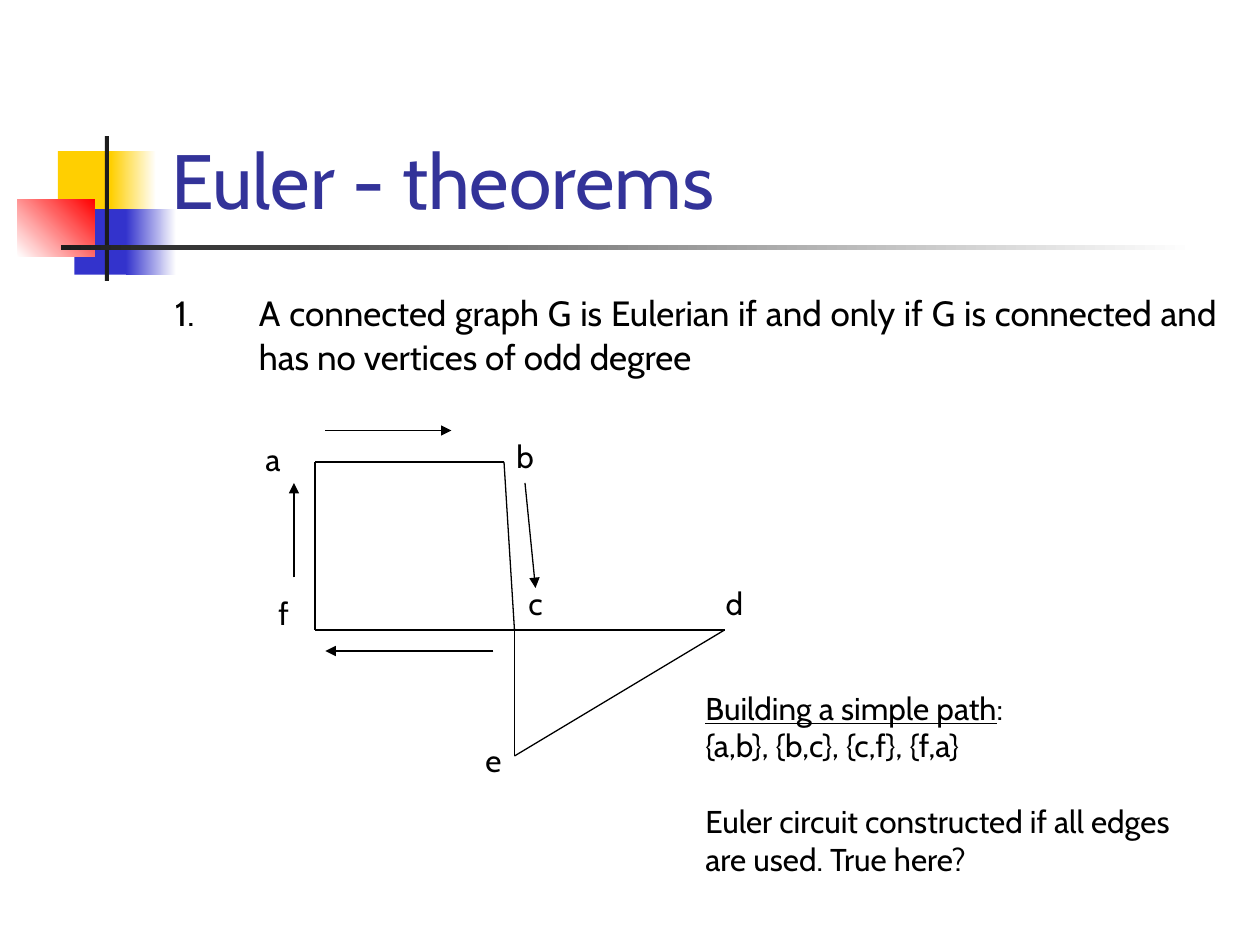
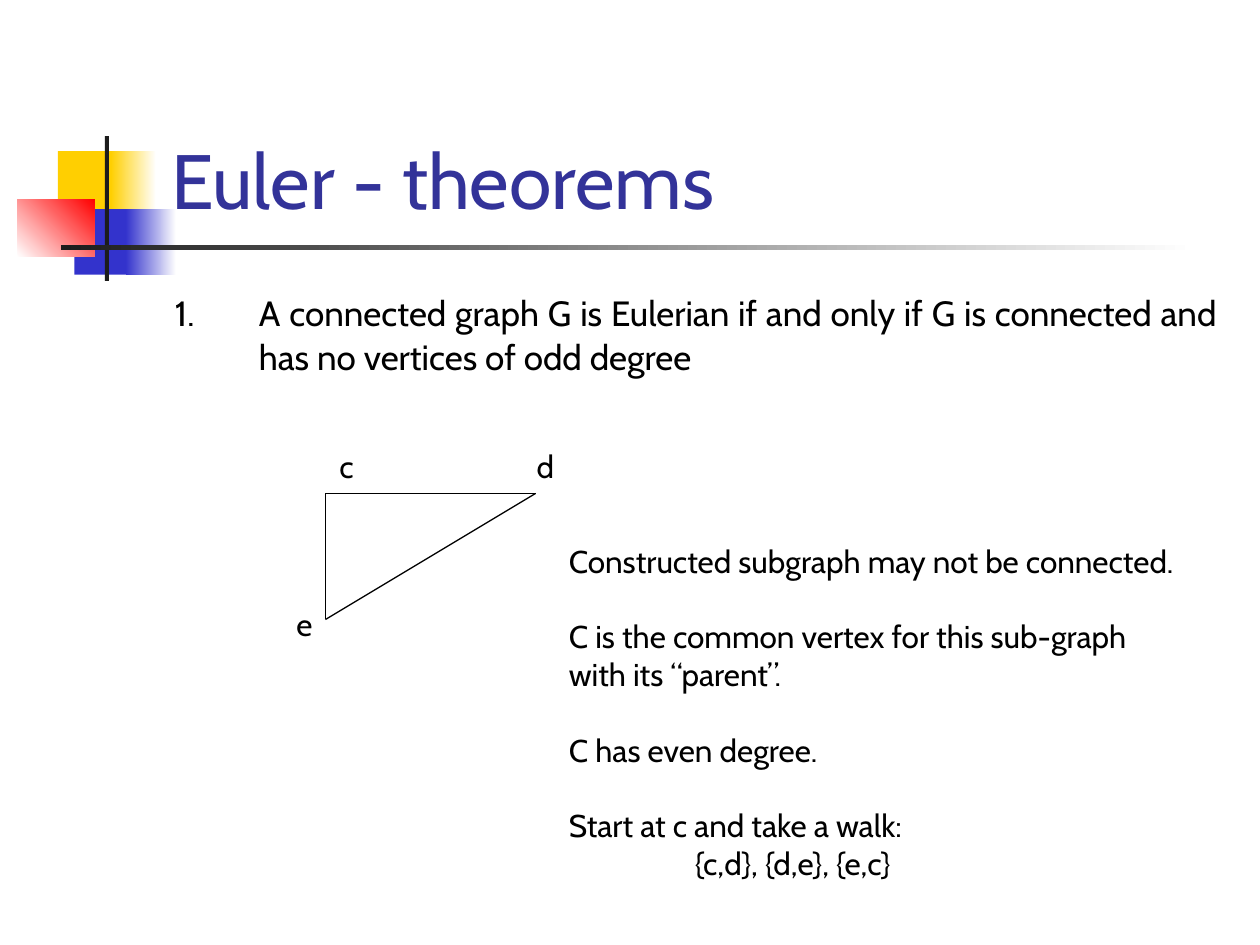
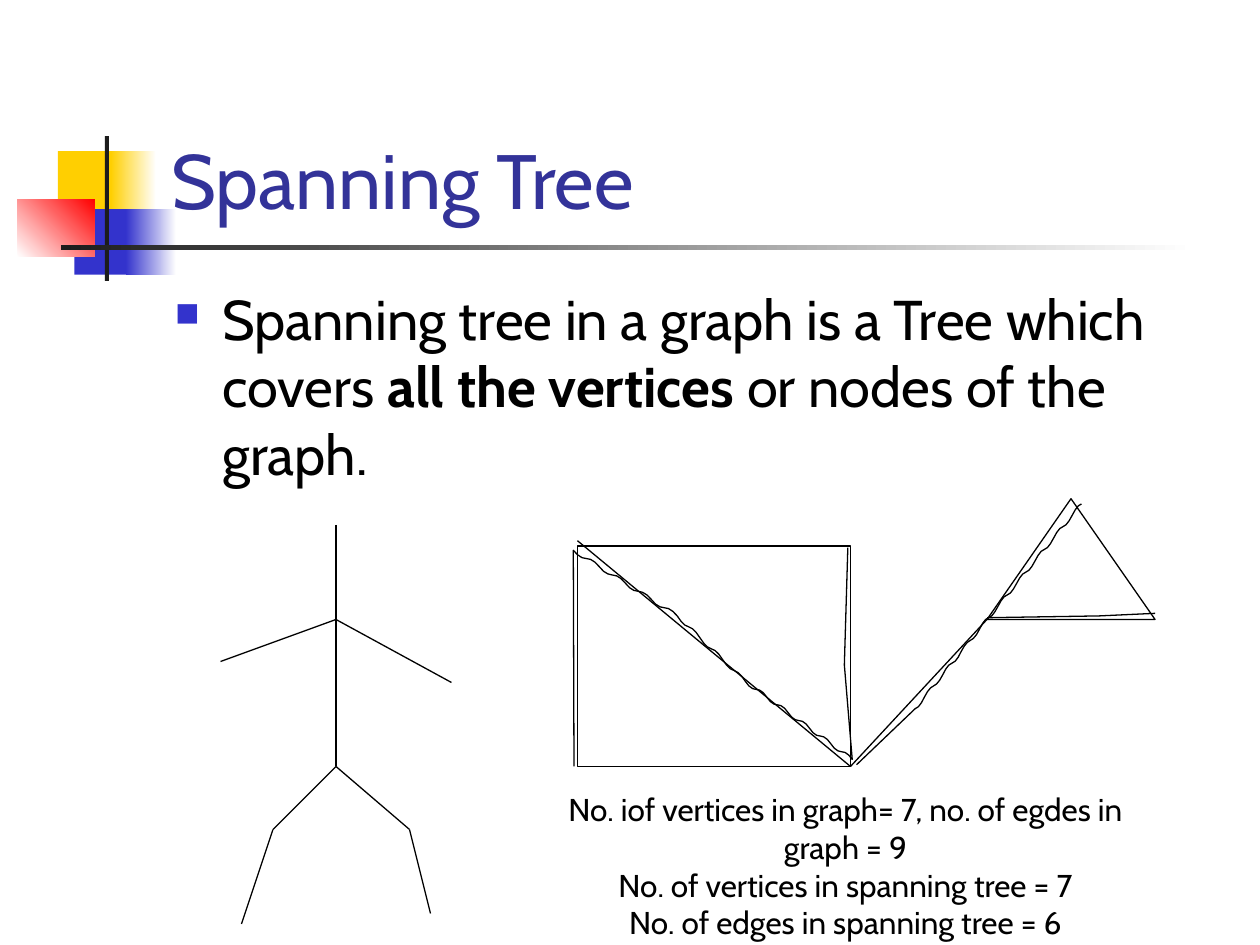
"""Builds three slides on Euler circuits and spanning trees."""
from math import pi, sin
from lxml.etree import SubElement
from pptx import Presentation
from pptx.dml.color import RGBColor
from pptx.enum.shapes import MSO_CONNECTOR as Connector, MSO_SHAPE as Shape
from pptx.enum.text import MSO_ANCHOR as Anchor, MSO_AUTO_SIZE as AutoSize, PP_ALIGN as Align
from pptx.oxml.ns import qn
from pptx.util import Pt

FONT = "Cabin"
BLACK, WHITE, YELLOW, BLUE, RED = "000000", "FFFFFF", "FFCF01", "3333CC", "FF0000"
TITLE_COLOUR, BAR = "333399", "1C1C1C"
LINE_WIDTH = 0.75
BLANK_LINE = 21.6
LABEL_WIDTH, LABEL_HEIGHT = 24, 28.8
RIPPLE_HEIGHT, STEPS_PER_RIPPLE = 1.2, 6

colour = RGBColor.from_string


def add_edge(page, start, end, arrow=False):
    """Draw a thin black line, with an arrowhead at its end if asked."""
    edge = page.shapes.add_connector(Connector.STRAIGHT, *map(Pt, start + end))
    edge.line.color.rgb = colour(BLACK)
    edge.line.width = Pt(LINE_WIDTH)
    properties = edge.element.spPr
    if arrow:
        SubElement(properties.find(qn("a:ln")), qn("a:tailEnd"), type="triangle")
    SubElement(properties, qn("a:effectLst"))


def add_text(page, place, blocks, align=Align.LEFT, wrap=False):
    """Write blocks of 18 point lines, a blank line's height apart."""
    box = page.shapes.add_textbox(*map(Pt, place))
    frame = box.text_frame
    frame.word_wrap = wrap
    frame.text = "\n".join(line for block in blocks for line in block)
    paras = iter(frame.paragraphs)
    for number, block in enumerate(blocks):
        for row, para in zip(range(len(block)), paras):
            para.alignment = align
            para.font.name = FONT
            para.font.size = Pt(18)
            para.font.color.rgb = colour(BLACK)
            if number and row == 0:
                para.space_before = Pt(BLANK_LINE)
    return frame


deck = Presentation()
deck.slide_width, deck.slide_height = Pt(720), Pt(540)
layout = deck.slide_layouts[5]

theorem = [
    ("1.", 20, False),
    ("\t", 24, False),
    ("A connected graph G is Eulerian if and only if G is connected and "
     "has no vertices of odd degree", 20, False),
]
definition = [
    ("Spanning tree in a graph is a Tree which covers ", 32, False),
    ("all the vertices ", 32, True),
    ("or nodes of the graph.", 32, False),
]
contents = [
    ("Euler - theorems", theorem, 48, Align.JUSTIFY, None),
    ("Euler - theorems", theorem, 48, Align.JUSTIFY, None),
    ("Spanning Tree", definition, 27, Align.LEFT, "■"),
]

for heading, statement, hanging, align, bullet in contents:
    page = deck.slides.add_slide(layout)
    title = page.shapes.title
    title.left, title.top, title.width, title.height = map(Pt, (90.72, 16.92, 613.44, 115.2))
    frame = title.text_frame
    frame.text = heading
    frame.auto_size = AutoSize.NONE
    frame.vertical_anchor = Anchor.BOTTOM
    para = frame.paragraphs[0]
    para.alignment = Align.LEFT
    para.font.name = FONT
    para.font.size = Pt(44)
    para.font.color.rgb = colour(TITLE_COLOUR)

    box = page.shapes.add_textbox(*map(Pt, (92.88, 159.12, 610, 75)))
    box.text_frame.word_wrap = True
    para = box.text_frame.paragraphs[0]
    para.alignment = align
    properties = para._p.get_or_add_pPr()
    properties.set("marL", str(Pt(hanging)))
    properties.set("indent", str(Pt(-hanging)))
    if bullet:
        SubElement(SubElement(properties, qn("a:buClr")), qn("a:srgbClr"), val=BLUE)
        SubElement(properties, qn("a:buSzPct"), val="60000")
        SubElement(properties, qn("a:buChar"), char=bullet)
    para.font.name = FONT
    para.font.color.rgb = colour(BLACK)
    for text, size, bold in statement:
        span = para.add_run()
        span.text = text
        span.font.size = Pt(size)
        span.font.bold = bold

circuit_page, subgraph_page, tree_page = deck.slides

ornaments = [
    ((33.12, 86.4, 34.56, 37.44), YELLOW, YELLOW, 0),
    ((63.36, 86.4, 25.92, 37.44), YELLOW, WHITE, 0),
    ((42.48, 119.52, 33.12, 37.44), BLUE, BLUE, 0),
    ((72, 119.52, 28.8, 37.44), BLUE, WHITE, 0),
    ((10.08, 113.76, 43.92, 33.12), WHITE, RED, 45),
    ((59.9, 77.76, 2.4, 82.8), BAR, BAR, 0),
    ((34.8, 140.2, 648, 2.4), BAR, WHITE, 0),
]
for place, first, last, angle in ornaments:
    ornament = circuit_page.shapes.add_shape(Shape.RECTANGLE, *map(Pt, place))
    ornament.shadow.inherit = False
    ornament.line.fill.background()
    if first == last:
        ornament.fill.solid()
        ornament.fill.fore_color.rgb = colour(first)
    else:
        ornament.fill.gradient()
        ornament.fill.gradient_angle = angle
        for stop, tint in zip(ornament.fill.gradient_stops, (first, last)):
            stop.color.rgb = colour(tint)
    layout.shapes.element.append(ornament.element)

vertices = {"a": (180, 264), "b": (288, 264), "c": (294, 360),
            "d": (414, 360), "e": (294, 432), "f": (180, 360)}
label_offsets = {"a": (-36, -16), "b": (0, -18), "c": (0, -30),
                 "d": (-6.5, -30), "e": (-24, -12), "f": (-30, -24)}
graphs = [(circuit_page, "ab af fc bc cd ce ed", 0, 0),
          (subgraph_page, "cd ce ed", -108, -78)]

for page, edges, shift_x, shift_y in graphs:
    spots = {name: (x + shift_x, y + shift_y) for name, (x, y) in vertices.items()}
    for start, end in edges.split():
        add_edge(page, spots[start], spots[end])
    for name in sorted(set(edges) - {" "}):
        x, y = spots[name]
        offset_x, offset_y = label_offsets[name]
        place = (x + offset_x, y + offset_y, LABEL_WIDTH, LABEL_HEIGHT)
        add_text(page, place, [[name]], Align.CENTER)

walk = [((186, 246), (258, 246)), ((300, 276), (306, 336)),
        ((282, 372), (186, 372)), ((168, 330), (168, 276))]
for start, end in walk:
    add_edge(circuit_page, start, end, arrow=True)

frame = add_text(circuit_page, (396, 390, 296.64, 115.2), [
    ["Building a simple path", "{a,b}, {b,c}, {c,f}, {f,a}"],
    ["Euler circuit constructed if all edges", "are used. True here?"],
])
para = frame.paragraphs[0]
para.runs[0].font.underline = True
para.add_run().text = ":"

frame = add_text(subgraph_page, (318, 306, 377.28, 201.6), [
    ["Constructed subgraph may not be connected."],
    ["C is the common vertex for this sub-graph", "with its “parent”."],
    ["C has even degree."],
    ["Start at c and take a walk:", "{c,d}, {d,e}, {e,c}"],
])
frame.paragraphs[-1]._p.get_or_add_pPr().set("marL", str(Pt(72)))

head, shoulder, hip = (192, 300), (192, 354), (192, 438)
left_hand, right_hand = (126, 378), (258, 390)
left_knee, right_knee = (156, 474), (234, 474)
left_foot, right_foot = (138, 528), (246, 522)
limbs = [
    (head, shoulder, hip),
    (left_hand, shoulder, right_hand),
    (left_foot, left_knee, hip, right_knee, right_foot),
]
for joints in limbs:
    for start, end in zip(joints, joints[1:]):
        add_edge(tree_page, start, end)

for kind, place in ((Shape.RECTANGLE, (330, 312, 156, 126)),
                    (Shape.ISOSCELES_TRIANGLE, (564, 285, 96, 69))):
    outline = tree_page.shapes.add_shape(kind, *map(Pt, place))
    outline.shadow.inherit = False
    outline.fill.solid()
    outline.fill.fore_color.rgb = colour(WHITE)
    outline.line.color.rgb = colour(BLACK)
    outline.line.width = Pt(LINE_WIDTH)

square_corner, triangle_corner = (486, 438), (564, 354)
add_edge(tree_page, (330, 309), square_corner)
add_edge(tree_page, square_corner, triangle_corner)

square_stroke = ((328, 438), [((327.6, 314.5), 0), ((387, 352), 4), ((426, 389.5), 3),
                              ((487, 434), 5), ((482.5, 380), 0), ((484.5, 313), 0)])
bridge_stroke = ((489.5, 437), [((523, 405), 0), ((565, 353), 4), ((618, 288), 5)])
base_stroke = ((564, 353), [((628, 352), 0), ((660, 350.5), 0)])

for start, legs in (square_stroke, bridge_stroke, base_stroke):
    points = [start]
    for (end_x, end_y), ripples in legs:
        start_x, start_y = points[-1]
        steps = max(1, ripples * STEPS_PER_RIPPLE)
        for step in range(1, steps + 1):
            share = step / steps
            ripple = RIPPLE_HEIGHT * sin(2 * pi * ripples * share)
            points.append((start_x + (end_x - start_x) * share,
                           start_y + (end_y - start_y) * share + ripple))
    tenths = [(10 * x, 10 * y) for x, y in points]
    builder = tree_page.shapes.build_freeform(*tenths[0], scale=Pt(0.1))
    builder.add_line_segments(tenths[1:], close=False)
    stroke = builder.convert_to_shape()
    stroke.shadow.inherit = False
    stroke.fill.background()
    stroke.line.color.rgb = colour(BLACK)
    stroke.line.width = Pt(LINE_WIDTH)

add_text(tree_page, (306, 447.84, 354.24, 94.32), [[
    "No. iof vertices in graph= 7, no. of egdes in graph = 9",
    "No. of vertices in spanning tree = 7",
    "No. of edges in spanning tree = 6",
]], Align.CENTER, wrap=True)

deck.save("out.pptx")
